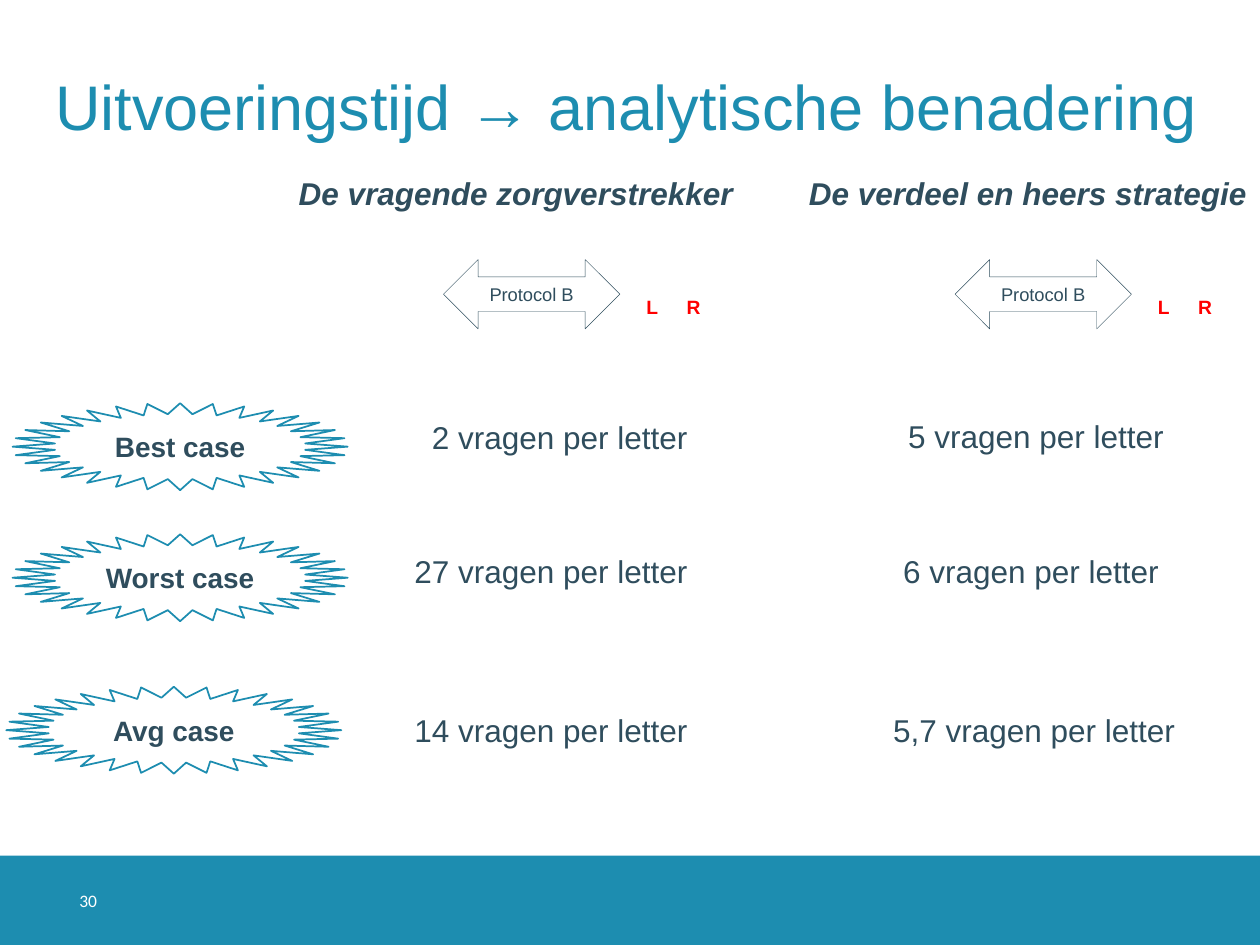
from dataclasses import dataclass

from pptx import Presentation
from pptx.dml.color import RGBColor
from pptx.enum.shapes import MSO_SHAPE
from pptx.enum.text import MSO_ANCHOR, PP_ALIGN
from pptx.util import Inches, Pt


@dataclass(frozen=True)
class Theme:
    font: str = "Arial"
    number_font: str = "Calibri"
    accent: RGBColor = RGBColor(0x1D, 0x8D, 0xB0)
    ink: RGBColor = RGBColor(0x2F, 0x4D, 0x5D)
    red: RGBColor = RGBColor(0xFF, 0, 0)
    white: RGBColor = RGBColor(0xFF, 0xFF, 0xFF)
    title: float = 36
    body: float = 18
    case: float = 16
    mark: float = 11
    arrow: float = 10.5
    number: float = 10


THEME = Theme()

STRATEGIES = [
    ("De vragende zorgverstrekker", 2.32, 3.58, 3.52),
    ("De verdeel en heers strategie", 6.37, 3.61, 7.58),
]

CASES = [
    ("Best case", 0.1, 3.2, [
        ("2 vragen per letter", 3.33, 3.27, 2.32),
        ("5 vragen per letter", 7.11, 3.26, 2.32)]),
    ("Worst case", 0.1, 4.24, [
        ("27 vragen per letter", 3.19, 4.33, 2.46),
        ("6 vragen per letter", 7.07, 4.33, 2.32)]),
    ("Avg case", 0.05, 5.45, [
        ("14 vragen per letter", 3.19, 5.59, 2.46),
        ("5,7 vragen per letter", 6.99, 5.59, 2.53)]),
]


def write(tf, text, size, color, bold=False, italic=False, font=THEME.font,
          inset=0.05, align=PP_ALIGN.LEFT, anchor=MSO_ANCHOR.TOP):
    tf.margin_left = tf.margin_right = Inches(inset)
    tf.margin_top = tf.margin_bottom = Inches(min(inset, 0.05))
    tf.vertical_anchor = anchor
    p = tf.paragraphs[0]
    p.text = text
    p.alignment = align
    f = p.font
    f.name, f.size, f.bold, f.italic = font, Pt(size), bold, italic
    f.color.rgb = color
    return p


def add_title(s, text):
    sp = s.shapes.title
    sp.left, sp.top = Inches(0.39), Inches(0.24)
    sp.width, sp.height = Inches(9.36), Inches(1.26)
    p = write(sp.text_frame, text, THEME.title, THEME.accent,
              anchor=MSO_ANCHOR.MIDDLE)
    p.line_spacing = 0.9


def add_label(s, text, x, y, w, h, size, color, **style):
    sp = s.shapes.add_textbox(Inches(x), Inches(y), Inches(w), Inches(h))
    sp.text_frame.word_wrap = False
    write(sp.text_frame, text, size, color, **style)


def add_figure(s, kind, x, y, w, h, fill, line=None, weight=1):
    sp = s.shapes.add_shape(kind, Inches(x), Inches(y), Inches(w), Inches(h))
    sp.shadow.inherit = False
    sp.fill.solid()
    sp.fill.fore_color.rgb = fill
    if line is None:
        sp.line.fill.background()
    else:
        sp.line.color.rgb = line
        sp.line.width = Pt(weight)
    return sp


def add_footer(s, number):
    add_figure(s, MSO_SHAPE.RECTANGLE, 0, 6.79, 10, 0.71, THEME.accent)
    add_label(s, number, 0.63, 7.07, 0.17, 0.15, THEME.number, THEME.white,
              font=THEME.number_font, inset=0, anchor=MSO_ANCHOR.MIDDLE)


def add_strategy(s, name, x, w, arrow_x):
    add_label(s, name, x, 1.33, w, 0.4, THEME.body, THEME.ink,
              bold=True, italic=True)
    sp = add_figure(s, MSO_SHAPE.LEFT_RIGHT_ARROW, arrow_x, 2.06, 1.4, 0.55,
                    THEME.white, THEME.ink, 0.25)
    write(sp.text_frame, "Protocol B", THEME.arrow, THEME.ink,
          align=PP_ALIGN.CENTER, anchor=MSO_ANCHOR.MIDDLE)
    for mark, dx in (("L", 1.56), ("R", 1.88)):
        add_label(s, mark, arrow_x + dx, 2.29, 0.25, 0.29, THEME.mark,
                  THEME.red, bold=True)


def add_case(s, name, x, y, results):
    sp = add_figure(s, MSO_SHAPE.STAR_32_POINT, x, y, 2.66, 0.69,
                    THEME.white, THEME.accent)
    write(sp.text_frame, name, THEME.case, THEME.ink, bold=True,
          align=PP_ALIGN.CENTER, anchor=MSO_ANCHOR.MIDDLE)
    for text, left, top, w in results:
        add_label(s, text, left, top, w, 0.4, THEME.body, THEME.ink, inset=0.1)


def main():
    prs = Presentation()
    prs.slide_width, prs.slide_height = Inches(10), Inches(7.5)
    s = prs.slides.add_slide(prs.slide_layouts[5])
    add_footer(s, "30")
    add_title(s, "Uitvoeringstijd → analytische benadering")
    for strategy in STRATEGIES:
        add_strategy(s, *strategy)
    for case in CASES:
        add_case(s, *case)
    prs.save("out.pptx")


if __name__ == "__main__":
    main()
